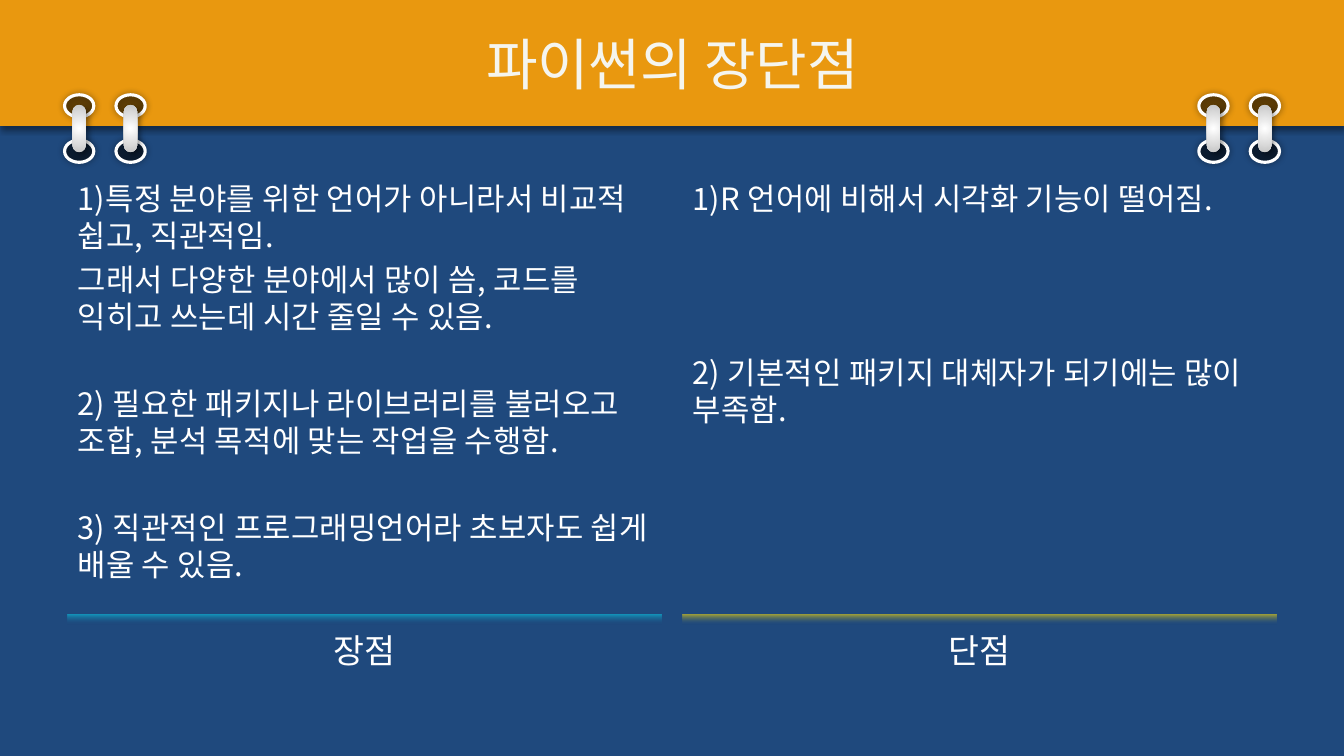
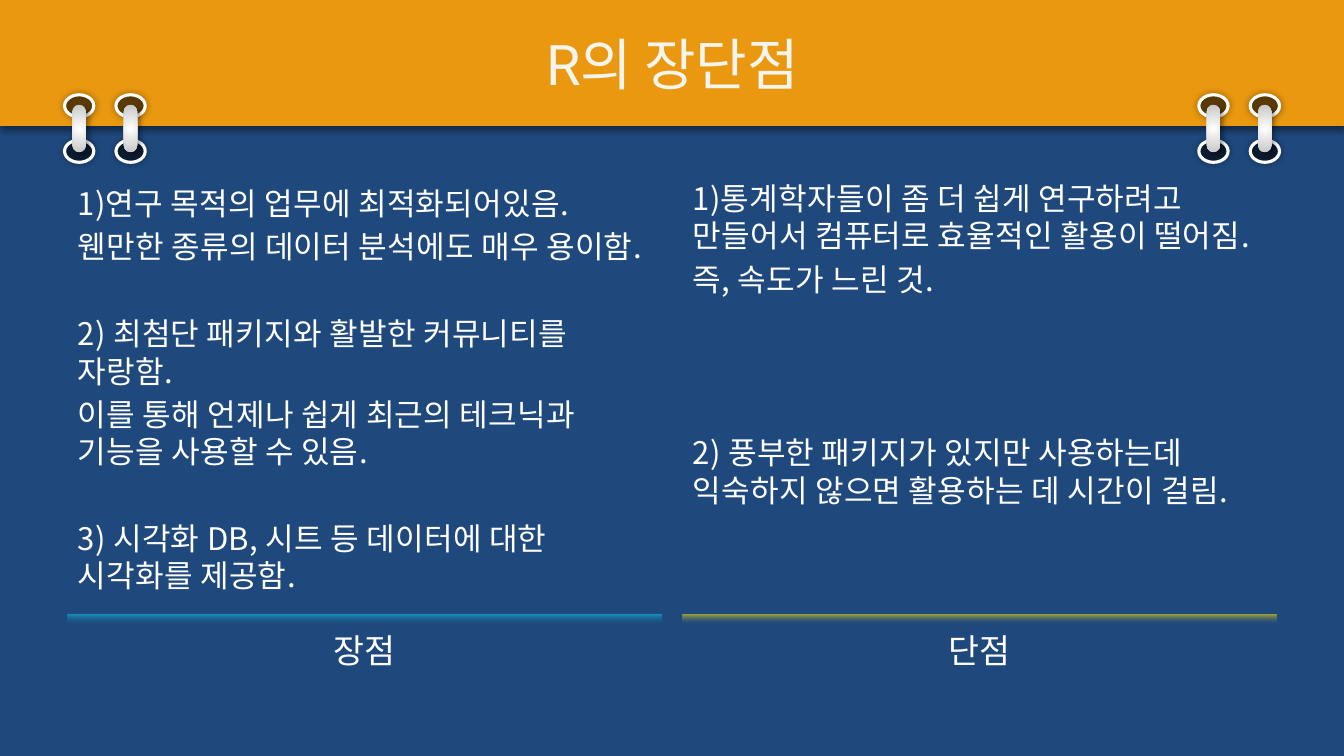
from dataclasses import dataclass

from lxml.etree import SubElement
from pptx import Presentation
from pptx.dml.color import RGBColor
from pptx.enum.shapes import MSO_SHAPE
from pptx.enum.text import MSO_ANCHOR, MSO_AUTO_SIZE, PP_ALIGN
from pptx.oxml import parse_xml
from pptx.oxml.ns import nsdecls, qn
from pptx.util import Inches, Pt

COLORS = {
    "background": "1F497D",
    "band": "E9980F",
    "title": "F5F5EE",
    "text": "FFFFFF",
    "pros": "10A8CB",
    "cons": "C4B926",
    "shadow": "000000",
    "hole": "000000",
    "ring": "FFFFFF",
    "ring_edge": "C7C7C7",
}
HEADING_FONT = "Roboto"
BODY_FONT = "Noto Sans CJK KR"
BAND_HEIGHT = 1.25
COLUMN_WIDTH = 5.89
COLUMN_LEFTS = (0.67, 6.77)
RING_LEFTS = (0.64, 1.15, 11.89, 12.4)
LINE_PITCH = 26.6
LETTER_SPACING = "20"  # hundredths of a point


@dataclass
class Item:
    text: str
    skipped_lines: int = 0


@dataclass
class Column:
    label: str
    color: str
    items: list[Item]
    top: float = 1.73


@dataclass
class Comparison:
    title: str
    body_size: float
    columns: tuple[Column, Column]


@dataclass
class TextStyle:
    font: str
    size: float
    color: str
    align: PP_ALIGN = PP_ALIGN.CENTER
    anchor: MSO_ANCHOR = MSO_ANCHOR.MIDDLE


COMPARISONS = [
    Comparison("파이썬의 장단점", 22, (
        Column("장점", "pros", [
            Item("1)특정 분야를 위한 언어가 아니라서 비교적 쉽고, 직관적임."),
            Item("그래서 다양한 분야에서 많이 씀, 코드를 익히고 쓰는데 시간 줄일 수 있음."),
            Item("2) 필요한 패키지나 라이브러리를 불러오고 조합, 분석 목적에 맞는 작업을 수행함.", 1),
            Item("3) 직관적인 프로그래밍언어라 초보자도 쉽게 배울 수 있음.", 1),
        ]),
        Column("단점", "cons", [
            Item("1)R 언어에 비해서 시각화 기능이 떨어짐."),
            Item("2) 기본적인 패키지 대체자가 되기에는 많이 부족함.", 3),
        ]),
    )),
    Comparison("R의 장단점", 22.2, (
        Column("장점", "pros", [
            Item("1)연구 목적의 업무에 최적화되어있음."),
            Item("웬만한 종류의 데이터 분석에도 매우 용이함."),
            Item("2) 최첨단 패키지와 활발한 커뮤니티를 자랑함.", 1),
            Item("이를 통해 언제나 쉽게 최근의 테크닉과 기능을 사용할 수 있음."),
            Item("3) 시각화 DB, 시트 등 데이터에 대한 시각화를 제공함.", 1),
        ], top=1.78),
        Column("단점", "cons", [
            Item("1)통계학자들이 좀 더 쉽게 연구하려고 만들어서 컴퓨터로 효율적인 활용이 떨어짐."),
            Item("즉, 속도가 느린 것."),
            Item("2) 풍부한 패키지가 있지만 사용하는데 익숙하지 않으면 활용하는 데 시간이 걸림.", 3),
        ]),
    )),
]


def rgb(name: str) -> RGBColor:
    return RGBColor.from_string(COLORS[name])


def place(shape, left: float, top: float, width: float, height: float) -> None:
    shape.left, shape.top = Inches(left), Inches(top)
    shape.width, shape.height = Inches(width), Inches(height)


# Fills and shadows
def fill_gradient(shape, stops: list[tuple[int, str, int]], direction: str) -> None:
    """Each stop is position, colour name and opacity, in percent."""
    marks = "".join(
        f'<a:gs pos="{position * 1000}"><a:srgbClr val="{COLORS[name]}">'
        f'<a:alpha val="{opacity * 1000}"/></a:srgbClr></a:gs>'
        for position, name, opacity in stops
    )
    shape.fill.background()
    properties = shape.element.spPr
    properties.replace(properties.find(qn("a:noFill")), parse_xml(
        f'<a:gradFill {nsdecls("a")} rotWithShape="1">'
        f"<a:gsLst>{marks}</a:gsLst>{direction}</a:gradFill>"
    ))


def add_shadow(shape, blur: float, distance: float, angle: int) -> None:
    shape.shadow.inherit = False
    effects = shape.element.spPr.find(qn("a:effectLst"))
    effects.append(parse_xml(
        f'<a:outerShdw {nsdecls("a")} blurRad="{Pt(blur)}" dist="{Pt(distance)}" '
        f'dir="{angle * 60000}" algn="ctr" rotWithShape="0">'
        f'<a:srgbClr val="{COLORS["shadow"]}"><a:alpha val="40000"/></a:srgbClr></a:outerShdw>'
    ))


# Binder decoration
def add_band(page):
    band = page.shapes.add_shape(
        MSO_SHAPE.RECTANGLE, 0, 0, Inches(13.33), Inches(BAND_HEIGHT))
    band.fill.solid()
    band.fill.fore_color.rgb = rgb("band")
    band.line.fill.background()
    add_shadow(band, 4, 3, 90)
    return band


def add_ring(page, left: float) -> list:
    parts = []
    for top in (0.94, 1.39):
        hole = page.shapes.add_shape(
            MSO_SHAPE.OVAL, Inches(left), Inches(top), Inches(0.29), Inches(0.22))
        hole.fill.solid()
        hole.fill.fore_color.rgb = rgb("hole")
        color = hole.element.spPr.find(qn("a:solidFill")).find(qn("a:srgbClr"))
        SubElement(color, qn("a:alpha")).set("val", "50000")
        hole.line.color.rgb = rgb("ring")
        hole.line.width = Pt(2.25)
        add_shadow(hole, 5, 0, 0)
        parts.append(hole)
    bar = page.shapes.add_shape(
        MSO_SHAPE.ROUNDED_RECTANGLE,
        Inches(left + 0.08), Inches(1.04), Inches(0.13), Inches(0.47))
    bar.adjustments[0] = 0.5
    fill_gradient(
        bar, [(0, "ring", 100), (100, "ring_edge", 100)],
        '<a:path path="circle"><a:fillToRect l="50000" t="50000" r="50000" b="50000"/></a:path>')
    bar.line.fill.background()
    add_shadow(bar, 4, 3, 45)
    return parts + [bar]


def decorate_layout(layout, page) -> None:
    """Draw the shared parts on a page, then move them to its layout."""
    layout.background.fill.solid()
    layout.background.fill.fore_color.rgb = rgb("background")
    for placeholder in list(layout.placeholders):
        if placeholder.placeholder_format.idx >= 10:
            placeholder.element.getparent().remove(placeholder.element)
    parts = [add_band(page)]
    for left in RING_LEFTS:
        parts += add_ring(page, left)
    for part in parts:
        layout.shapes.element.append(part.element)


# Text
def write_text(box, items: list[Item], style: TextStyle) -> None:
    frame = box.text_frame
    frame.text = "\n".join(item.text for item in items)
    frame.word_wrap = True
    frame.auto_size = MSO_AUTO_SIZE.NONE
    frame.vertical_anchor = style.anchor
    for para in frame.paragraphs:
        para.alignment = style.align
        para.space_before = Pt(0)
        properties = para._p.get_or_add_pPr()
        properties.set("marL", "0")
        properties.set("indent", "0")
        SubElement(properties, qn("a:buNone"))
        for span in para.runs:
            span.font.name = style.font
            span.font.size = Pt(style.size)
            span.font.bold = False
            span.font.color.rgb = rgb(style.color)
            east_asian = SubElement(span.font._element, qn("a:ea"))
            east_asian.set("typeface", BODY_FONT)


def space_items(box, items: list[Item], size: float) -> None:
    gap = size * 0.2
    for number, (para, item) in enumerate(zip(box.text_frame.paragraphs, items)):
        para.line_spacing = Pt(LINE_PITCH)
        if number:
            para.space_before = Pt(gap + item.skipped_lines * (LINE_PITCH + gap))
        for span in para.runs:
            span.font._element.set("spc", LETTER_SPACING)


def fill_column(label, body, column: Column, left: float, size: float) -> None:
    place(label, left, 6.1, COLUMN_WIDTH, 0.7)
    fill_gradient(
        label, [(0, column.color, 80), (15, "background", 0)],
        '<a:lin ang="5400000" scaled="0"/>')
    write_text(label, [Item(column.label)], TextStyle(HEADING_FONT, 24, "text"))
    place(body, left, column.top, COLUMN_WIDTH, 4.32)
    write_text(body, column.items, TextStyle(
        BODY_FONT, size, "text", PP_ALIGN.LEFT, MSO_ANCHOR.TOP))
    space_items(body, column.items, size)


def fill_page(page, comparison: Comparison) -> None:
    title, *boxes = page.placeholders
    place(title, 0.67, 0, 12, BAND_HEIGHT)
    write_text(title, [Item(comparison.title)], TextStyle(HEADING_FONT, 40, "title"))
    for label, body, column, left in zip(
            boxes[::2], boxes[1::2], comparison.columns, COLUMN_LEFTS):
        fill_column(label, body, column, left, comparison.body_size)


# Build the deck
deck = Presentation()
deck.slide_width, deck.slide_height = Inches(13.33), Inches(7.5)
comparison_layout = deck.slide_layouts.get_by_name("Comparison")
pages = [deck.slides.add_slide(comparison_layout) for _ in COMPARISONS]
decorate_layout(comparison_layout, pages[0])
for page, comparison in zip(pages, COMPARISONS):
    fill_page(page, comparison)
deck.save("out.pptx")
